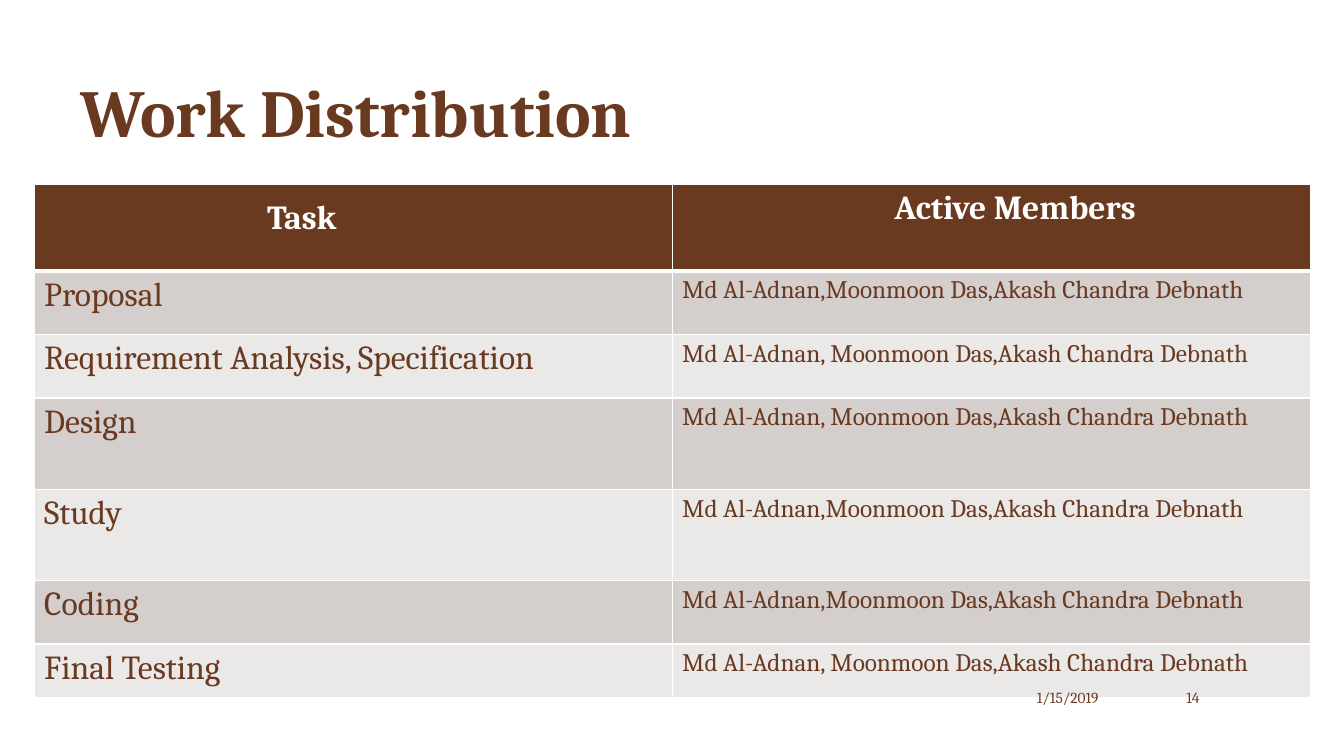
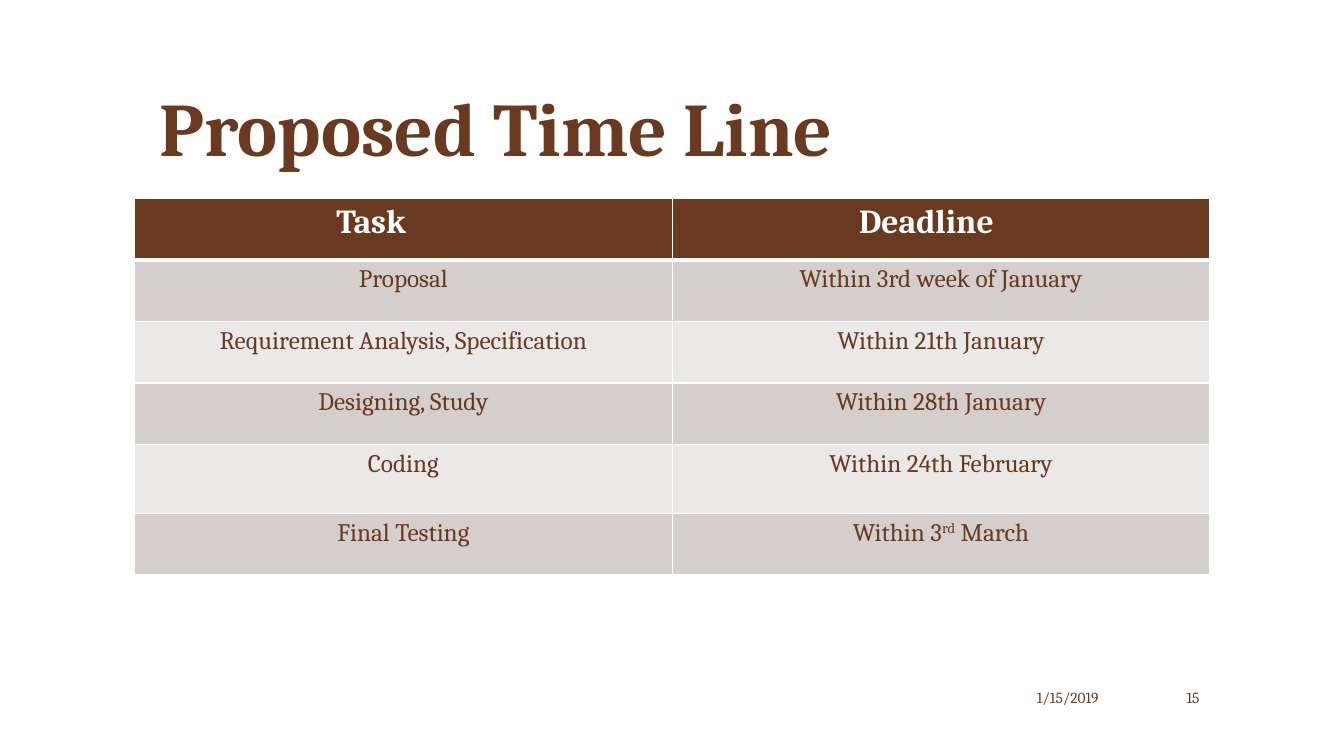
from dataclasses import dataclass
from lxml.etree import SubElement
from pptx import Presentation
from pptx.dml.color import RGBColor
from pptx.enum.text import MSO_ANCHOR, MSO_AUTO_SIZE, PP_ALIGN
from pptx.oxml.ns import qn
from pptx.util import Cm, Pt


@dataclass(frozen=True)
class Theme:
    font: str = "Cambria"
    brown: str = "6A3A20"
    white: str = "FFFFFF"
    bands: tuple = ("D4CECD", "EBE8E8")
    header_size: int = 24
    body_size: int = 18
    footer_size: int = 11
    rule: float = 1
    header_rule: float = 3


THEME = Theme()
LEFT, CENTER, RIGHT = PP_ALIGN.LEFT, PP_ALIGN.CENTER, PP_ALIGN.RIGHT

# Content; lengths in centimetres, a tuple in a cell is (text, superscript, text)
MEMBERS = "Md Al-Adnan,Moonmoon Das,Akash Chandra Debnath"
MEMBERS_SPACED = MEMBERS.replace(",", ", ", 1)
DATE = "1/15/2019"
SLIDES = [
    {
        "title": "Work Distribution", "title_size": 48, "title_inset": 0.25,
        "title_box": (1.78, 1.52, 28.7, 2.41),
        "table_box": (0.86, 4.65, 32.16),
        "heights": [2.18, 1.6, 1.6, 2.3, 2.3, 1.6, 1.35],
        # text, alignment, left inset, top inset
        "header": [("Task", LEFT, 5.87, 0.38),
                   ("Active Members", CENTER, 1.46, 0.13)],
        "columns": [(LEFT, 24), (LEFT, THEME.body_size)],
        "rows": [
            ("Proposal", MEMBERS),
            ("Requirement Analysis, Specification", MEMBERS_SPACED),
            ("Design", MEMBERS_SPACED),
            ("Study", MEMBERS),
            ("Coding", MEMBERS),
            ("Final Testing", MEMBERS_SPACED),
        ],
        "number": "14",
    },
    {
        "title": "Proposed Time Line", "title_size": 54, "title_inset": 0.64,
        "title_box": (3.39, 1.19, 27.1, 3.25),
        "table_box": (3.39, 5, 27.1),
        "heights": [1.55, 1.55, 1.55, 1.55, 1.74, 1.55],
        "header": [("Task", LEFT, 5.09, 0.13),
                   ("Deadline", LEFT, 4.71, 0.13)],
        "columns": [(CENTER, THEME.body_size), (CENTER, THEME.body_size)],
        "rows": [
            ("Proposal", "Within 3rd week of January"),
            ("Requirement Analysis, Specification", "Within 21th January"),
            ("Designing, Study", "Within 28th January"),
            ("Coding", "Within 24th February"),
            ("Final Testing", ("Within 3", "rd", " March")),
        ],
        "number": "15",
    },
]
DATE_BOX = (24.56, 17.15, 3.38, 0.84)
NUMBER_BOX = (28.5, 17.15, 1.98, 0.84)


def write(frame, content, size, align=LEFT, color=THEME.brown, bold=False):
    """Write one paragraph; every second part is superscript."""
    paragraph = frame.paragraphs[0]
    paragraph.alignment = align
    parts = (content,) if isinstance(content, str) else content
    for index, part in enumerate(parts):
        run = paragraph.add_run()
        run.text = part
        run.font.name, run.font.size, run.font.bold = THEME.font, Pt(size), bold
        run.font.color.rgb = RGBColor.from_string(color)
        if index % 2:
            run._r.get_or_add_rPr().set("baseline", "30000")


def set_borders(cell, top, bottom):
    properties = cell._tc.get_or_add_tcPr()
    widths = {"lnL": THEME.rule, "lnR": THEME.rule, "lnT": top, "lnB": bottom}
    for side, width in widths.items():
        line = SubElement(properties, qn(f"a:{side}"), w=str(Pt(width)))
        fill = SubElement(line, qn("a:solidFill"))
        SubElement(fill, qn("a:srgbClr"), val=THEME.white)


def paint(cell, color):
    cell.fill.solid()
    cell.fill.fore_color.rgb = RGBColor.from_string(color)


def add_title(slide, content):
    title = slide.shapes.title
    title.left, title.top, title.width, title.height = map(Cm, content["title_box"])
    frame = title.text_frame
    frame.auto_size = MSO_AUTO_SIZE.NONE
    frame.vertical_anchor = MSO_ANCHOR.BOTTOM
    frame.margin_left = Cm(content["title_inset"])
    write(frame, content["title"], content["title_size"], bold=True)


def add_schedule(slide, content):
    left, top, width = content["table_box"]
    heights, columns = content["heights"], content["columns"]
    table = slide.shapes.add_table(
        len(heights), len(columns),
        Cm(left), Cm(top), Cm(width), Cm(sum(heights))).table
    for row, height in zip(table.rows, heights):
        row.height = Cm(height)

    # Header row
    for column, (text, align, inset, top_inset) in enumerate(content["header"]):
        table.columns[column].width = Cm(width / len(columns))
        cell = table.cell(0, column)
        cell.margin_left, cell.margin_top = Cm(inset), Cm(top_inset)
        set_borders(cell, THEME.rule, THEME.header_rule)
        paint(cell, THEME.brown)
        write(cell.text_frame, text, THEME.header_size, align, THEME.white, True)

    # Banded task rows
    for number, tasks in enumerate(content["rows"], start=1):
        above = THEME.header_rule if number == 1 else THEME.rule
        for column, (text, (align, size)) in enumerate(zip(tasks, columns)):
            cell = table.cell(number, column)
            set_borders(cell, above, THEME.rule)
            paint(cell, THEME.bands[(number - 1) % 2])
            write(cell.text_frame, text, size, align)


def add_footer(slide, number):
    for text, box in ((DATE, DATE_BOX), (number, NUMBER_BOX)):
        frame = slide.shapes.add_textbox(*map(Cm, box)).text_frame
        frame.word_wrap = True
        frame.vertical_anchor = MSO_ANCHOR.MIDDLE
        write(frame, text, THEME.footer_size, RIGHT)


def main():
    deck = Presentation()
    deck.slide_width, deck.slide_height = Cm(33.87), Cm(19.05)
    for content in SLIDES:
        slide = deck.slides.add_slide(deck.slide_layouts[5])
        add_title(slide, content)
        add_schedule(slide, content)
        add_footer(slide, content["number"])
    deck.save("out.pptx")


if __name__ == "__main__":
    main()
